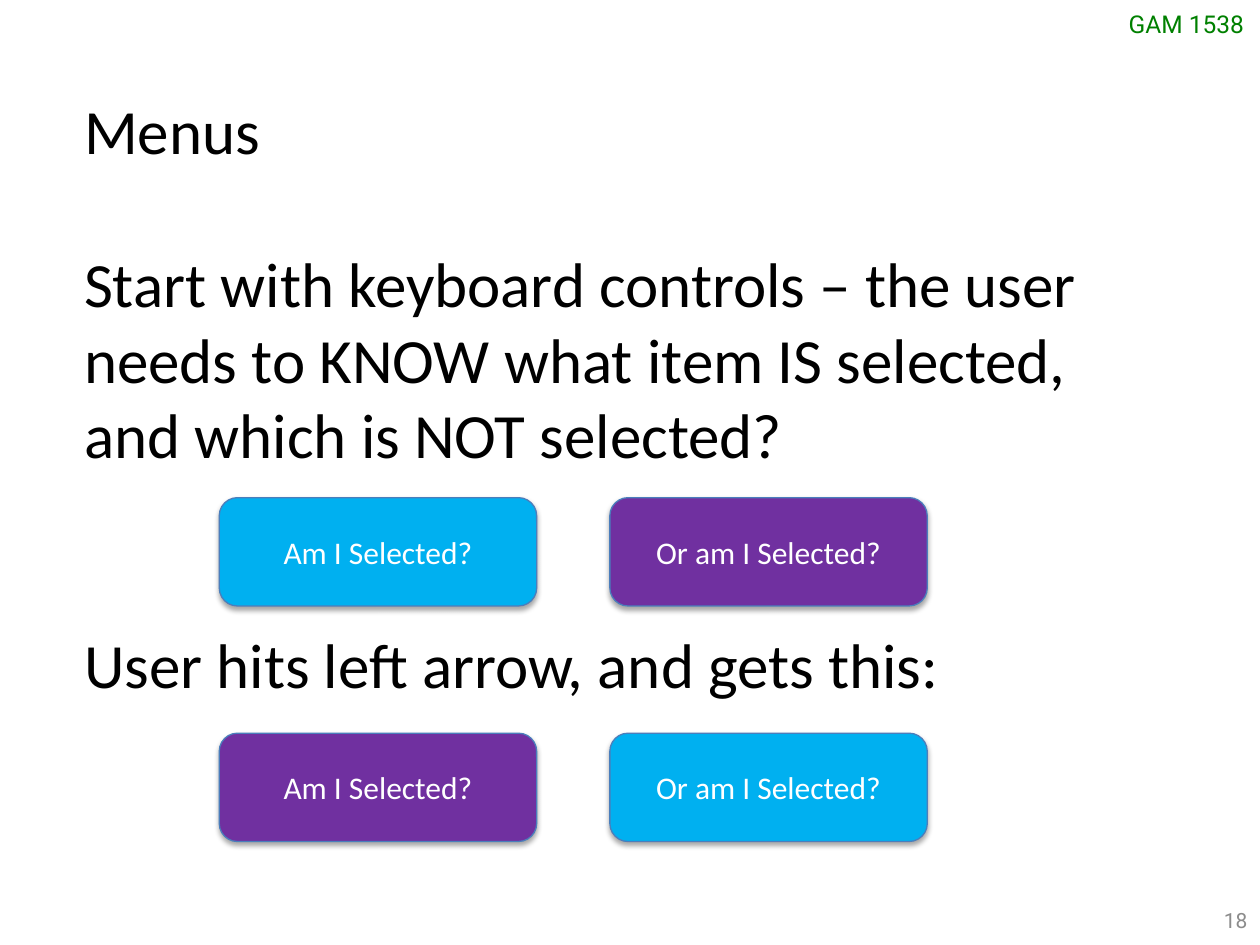
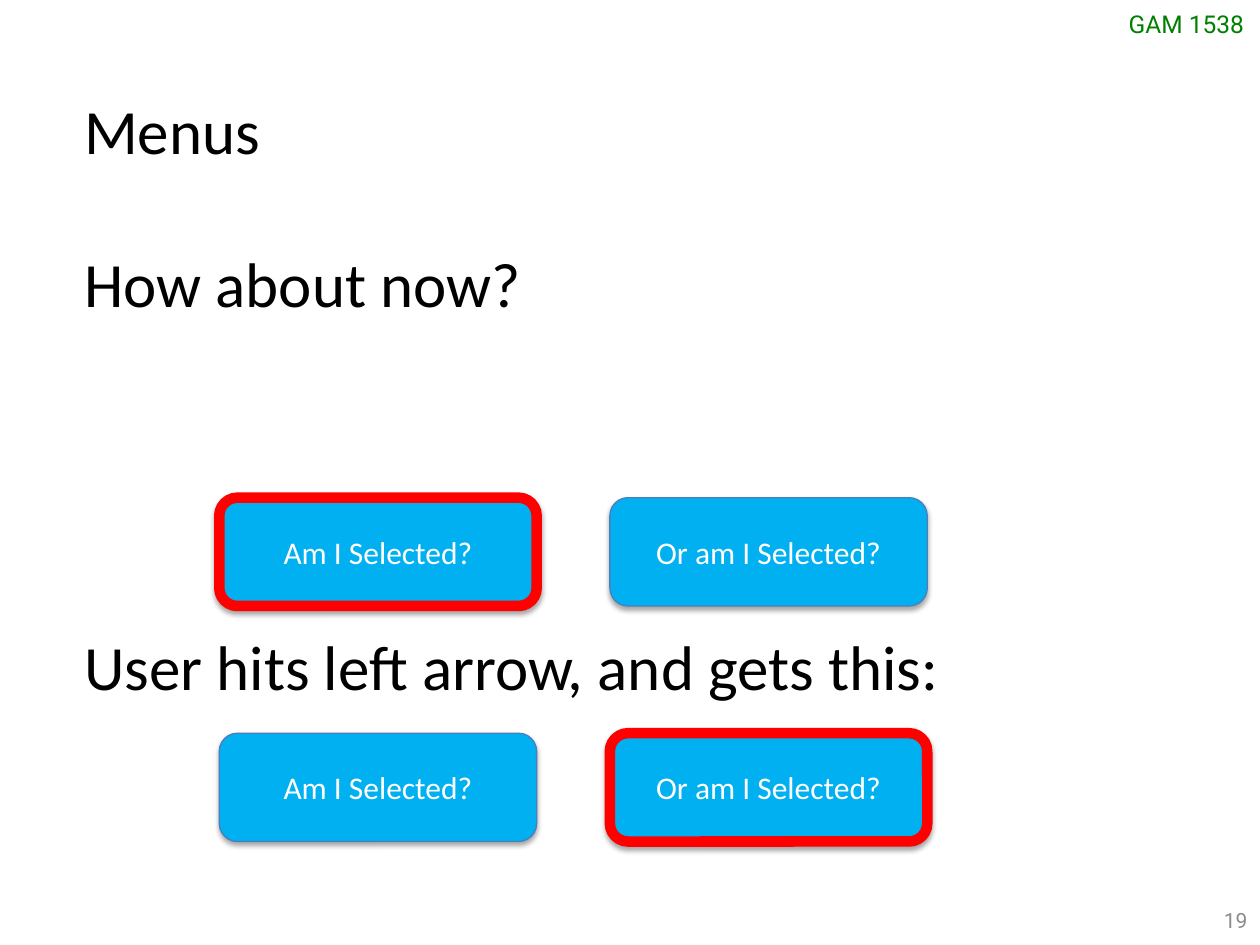
from dataclasses import dataclass
from typing import Any

from lxml import etree
from pptx import Presentation
from pptx import util as u
from pptx.dml.color import RGBColor
from pptx.enum import shapes, text
from pptx.oxml import ns

COLORS = {
    "ink": "000000",
    "course": "008000",
    "number": "8C8C8C",
    "caption": "FFFFFF",
    "blue": "00B0F0",
    "purple": "7030A0",
    "outline": "4B7EBC",
    "highlight": "FF0000",
    "shadow": "000000",
}
BODY_FONT, LABEL_FONT = "Calibri", "Roboto"
BODY_SIZE = 36
BODY_LINE = 43.95  # height of one line of body text
COLUMNS = (125.3, 348.5)
ROWS = (284.4, 419)
BUTTON_WIDTH, BUTTON_HEIGHT = 181.4, 61.9
CAPTIONS = ("Am I Selected?", "Or am I Selected?")


@dataclass(frozen=True)
class Box:
    """Left, top, width and height in points."""
    left: float
    top: float
    width: float
    height: float

    def lengths(self) -> tuple:
        """Return the four lengths as python-pptx values."""
        return tuple(u.Pt(v) for v in (self.left, self.top, self.width, self.height))


@dataclass(frozen=True)
class Line:
    """A body paragraph and the number of lines left free above it."""
    words: str
    free_lines: int = 0


@dataclass(frozen=True)
class Look:
    """Fill and outline of a menu button."""
    fill: str
    outline: str = "outline"
    weight: float = 0.75


@dataclass(frozen=True)
class MenuSlide:
    """Content of one slide, with button looks row by row."""
    number: int
    lines: tuple
    looks: tuple


PLAIN = Look("blue")
PURPLE = Look("purple")
FRAMED = Look("blue", "highlight", 6)
TITLE = "Menus"
RESULT = "User hits left arrow, and gets this:"

SLIDES = (
    MenuSlide(
        18,
        (Line(TITLE),
         Line("Start with keyboard controls – the user needs to KNOW what item "
              "IS selected, and which is NOT selected?", 1),
         Line(RESULT, 2)),
        ((PLAIN, PURPLE), (PURPLE, PLAIN)),
    ),
    MenuSlide(
        19,
        (Line(TITLE), Line("How about now?", 1), Line(RESULT, 4)),
        ((FRAMED, PLAIN), (PLAIN, FRAMED)),
    ),
)


def rgb(color: str) -> RGBColor:
    """Look up a named colour."""
    return RGBColor.from_string(COLORS[color])


def add_run(paragraph: Any, words: str, size: float, font: str, color: str) -> None:
    """Append a formatted run to a paragraph."""
    run = paragraph.add_run()
    run.text = words
    run.font.size = u.Pt(size)
    run.font.name = font
    run.font.color.rgb = rgb(color)


def add_frame(slide: Any, box: Box, wrap: bool = True) -> Any:
    """Add a text box and return its text frame."""
    frame = slide.shapes.add_textbox(*box.lengths()).text_frame
    frame.word_wrap = wrap
    return frame


def add_course(slide: Any) -> None:
    """Put the course code in the top right corner."""
    course = add_frame(slide, Box(637.9, 1.4, 82.1, 24.5), wrap=False)
    add_run(course.paragraphs[0], "GAM 1538", 14, LABEL_FONT, "course")


def add_number(slide: Any, number: int) -> None:
    """Put the slide number in the bottom right corner."""
    footer = add_frame(slide, Box(552.2, 511.2, 167.8, 28.8))
    footer.vertical_anchor = text.MSO_ANCHOR.MIDDLE
    footer.paragraphs[0].alignment = text.PP_ALIGN.RIGHT
    add_run(footer.paragraphs[0], str(number), 12, LABEL_FONT, "number")


def add_body(slide: Any, lines: tuple) -> None:
    """Write the title and the statements as one text."""
    body = add_frame(slide, Box(41, 49, 638.6, 356.4))
    for index, line in enumerate(lines):
        paragraph = body.add_paragraph() if index else body.paragraphs[0]
        paragraph.space_before = u.Pt(line.free_lines * BODY_LINE)
        add_run(paragraph, line.words, BODY_SIZE, BODY_FONT, "ink")


def add_shadow(button: Any) -> None:
    """Give a button a soft shadow straight below it."""
    button.shadow.inherit = False
    effects = button._element.spPr.find(ns.qn("a:effectLst"))
    shadow = etree.SubElement(
        effects, ns.qn("a:outerShdw"), blurRad=str(u.Pt(3.1)),
        dist=str(u.Pt(1.8)), dir=str(90 * 60000), rotWithShape="0")
    tint = etree.SubElement(shadow, ns.qn("a:srgbClr"), val=COLORS["shadow"])
    etree.SubElement(tint, ns.qn("a:alpha"), val="35000")


def add_button(slide: Any, box: Box, caption: str, look: Look) -> None:
    """Draw one menu button."""
    button = slide.shapes.add_shape(
        shapes.MSO_SHAPE.ROUNDED_RECTANGLE, *box.lengths())
    button.fill.solid()
    button.fill.fore_color.rgb = rgb(look.fill)
    button.line.color.rgb = rgb(look.outline)
    button.line.width = u.Pt(look.weight)
    add_shadow(button)
    frame = button.text_frame
    frame.word_wrap = True
    frame.vertical_anchor = text.MSO_ANCHOR.MIDDLE
    frame.paragraphs[0].alignment = text.PP_ALIGN.CENTER
    add_run(frame.paragraphs[0], caption, 18, BODY_FONT, "caption")


def add_menu_slide(deck: Any, content: MenuSlide) -> None:
    """Build one slide from its content."""
    slide = deck.slides.add_slide(deck.slide_layouts[6])
    add_course(slide)
    add_number(slide, content.number)
    add_body(slide, content.lines)
    for top, looks in zip(ROWS, content.looks):
        for left, caption, look in zip(COLUMNS, CAPTIONS, looks):
            box = Box(left, top, BUTTON_WIDTH, BUTTON_HEIGHT)
            add_button(slide, box, caption, look)


def main() -> None:
    """Build and save the presentation."""
    deck = Presentation()
    deck.slide_width, deck.slide_height = u.Pt(720), u.Pt(540)
    for content in SLIDES:
        add_menu_slide(deck, content)
    deck.save("out.pptx")


main()
